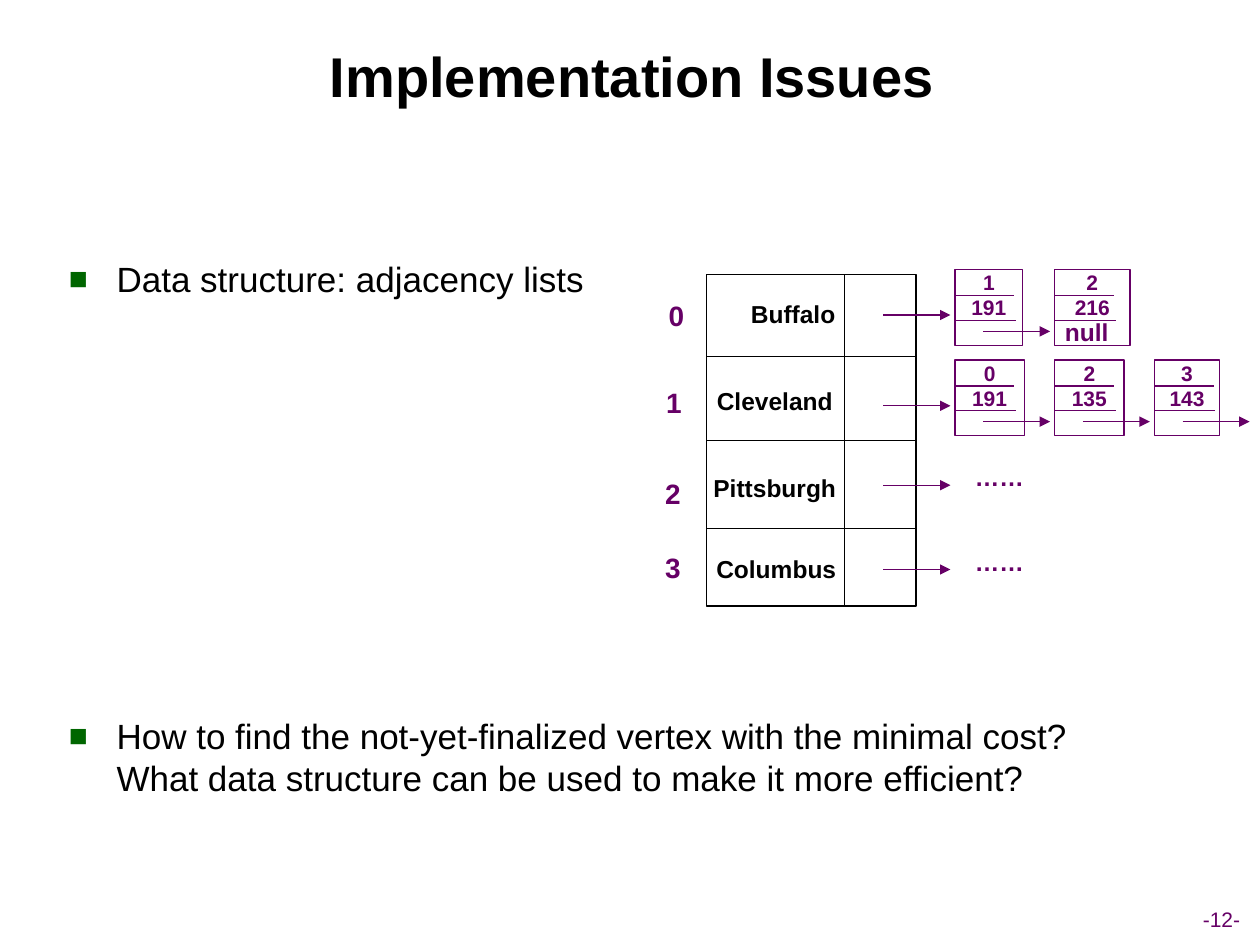
from lxml.etree import SubElement as Sub
from pptx import Presentation
from pptx.dml.color import RGBColor
from pptx.enum.shapes import MSO_CONNECTOR as Link, MSO_SHAPE as Shape
from pptx.enum.text import (MSO_ANCHOR as Anchor, MSO_AUTO_SIZE as Fit,
                            PP_ALIGN as Align)
from pptx.oxml.ns import qn
from pptx.util import Cm, Pt

BLACK = RGBColor(0x00, 0x00, 0x00)
PURPLE = RGBColor(0x66, 0x00, 0x66)
GREEN = RGBColor(0x00, 0x66, 0x00)

REACH = 1.35  # length of every arrow
STEP = 2.01   # distance from one list node to the next


def write(shape, *lines, size=14, color=PURPLE, bold=True, align=Align.CENTER,
          anchor=Anchor.TOP, wrap=False, pad=0.13):
    """Fill a shape with one paragraph per line."""
    frame = shape.text_frame
    frame.word_wrap = wrap
    frame.auto_size = Fit.NONE if wrap else Fit.SHAPE_TO_FIT_TEXT
    frame.vertical_anchor = anchor
    frame.margin_left = frame.margin_right = Cm(0.25)
    frame.margin_top = frame.margin_bottom = Cm(pad)
    frame.text = "\n".join(lines)
    for para in frame.paragraphs:
        para.alignment = align
        para.font.name = "Arial"
        para.font.size = Pt(size)
        para.font.bold = bold
        para.font.color.rgb = color
    return frame


def label(slide, x, y, w, h, *lines, **style):
    box = slide.shapes.add_textbox(Cm(x), Cm(y), Cm(w), Cm(h))
    return write(box, *lines, **style)


def frame_box(slide, x, y, w, h, color):
    box = slide.shapes.add_shape(Shape.RECTANGLE, Cm(x), Cm(y), Cm(w), Cm(h))
    box.shadow.inherit = False
    box.fill.background()
    box.line.color.rgb = color
    box.line.width = Pt(0.75)
    return box


def rule(slide, x, y, w, h=0, color=PURPLE, arrow=False):
    line = slide.shapes.add_connector(
        Link.STRAIGHT, Cm(x), Cm(y), Cm(x + w), Cm(y + h))
    line.line.color.rgb = color
    line.line.width = Pt(0.75)
    if arrow:
        Sub(line.line._get_or_add_ln(), qn("a:tailEnd"), type="triangle")
    Sub(line._element.spPr, qn("a:effectLst"))
    return line


def bullet(para):
    props = para._p.get_or_add_pPr()
    props.set("marL", str(Cm(0.96)))
    props.set("indent", str(-Cm(0.96)))
    tint = Sub(props, qn("a:buClr"))
    Sub(tint, qn("a:srgbClr"), val=str(GREEN))
    Sub(props, qn("a:buSzPct"), val="90000")
    Sub(props, qn("a:buFont"), typeface="Arial")
    Sub(props, qn("a:buChar"), char="■")


def points(slide, x, y, w, h):
    """Two bullets with the drawing's room between them."""
    body = label(slide, x, y, w, h, "Data structure: adjacency lists",
                 "How to find the not-yet-finalized vertex with the minimal cost? "
                 "What data structure can be used to make it more efficient?",
                 size=20, color=BLACK, bold=False, align=Align.LEFT, wrap=True)
    for para in body.paragraphs:
        bullet(para)
    body.paragraphs[1].space_before = Pt(237)


def cities(slide, x, y, w, h):
    """Array of vertices, each with an arrow to its list."""
    # name, name centre, name top, index left, index top, arrow top
    rows = [("Buffalo", 1.74, 0.36, -1.02, 0.34, 0.81),
            ("Cleveland", 1.37, 2.11, -1.07, 2.11, 2.64),
            ("Pittsburgh", 1.37, 3.87, -1.09, 3.94, 4.24),
            ("Columbus", 1.4, 5.49, -1.09, 5.42, 5.94)]
    wide = 3.4
    outer = frame_box(slide, x, y, w, h, BLACK)
    rule(slide, x + 2.77, y, 0, h, color=BLACK)
    cuts = [rule(slide, x, y + 1.65 + 1.73 * i, w, color=BLACK)
            for i in range(3)]
    cuts[1].begin_connect(outer, 1)
    cuts[1].end_connect(outer, 3)
    for i, (name, mid, top, left, low, aim) in enumerate(rows):
        label(slide, x + mid - wide / 2, y + top, wide, 0.84, name, color=BLACK)
        label(slide, x + left, y + low, 0.81, 0.94, str(i), size=16)
        rule(slide, x + 3.56, y + aim, REACH, arrow=True)


def node(slide, x, y, w, key, cost, more=True):
    """List node: vertex, edge cost, and the link to the next node."""
    box = frame_box(slide, x, y, w, 1.52, PURPLE)
    write(box, key, cost, size=12, wrap=True, pad=0)
    rule(slide, x, y + 0.52, 1.2)
    rule(slide, x, y + 1.02, 1.23)
    if more:
        rule(slide, x + 0.57, y + 1.24, REACH, arrow=True)
    else:
        label(slide, x - 0.25, y + 0.83, 1.8, 0.86, "null")


def chain(slide, x, y, nodes):
    for i, (w, *data) in enumerate(nodes):
        node(slide, x + STEP * i, y, w, *data)


def main():
    deck = Presentation()
    deck.slide_width, deck.slide_height = Cm(25.4), Cm(19.05)
    slide = deck.slides.add_slide(deck.slide_layouts[6])

    # Title and page number
    label(slide, 0.97, 0.31, 23.55, 2.41, "Implementation Issues",
          size=32, color=BLACK, anchor=Anchor.MIDDLE, wrap=True)
    label(slide, 23.9, 18.14, 1.45, 0.76, "-12-",
          size=12, bold=False, anchor=Anchor.MIDDLE)

    points(slide, 1.14, 5.06, 21.29, 12.36)

    # Adjacency lists
    cities(slide, 14.25, 5.54, 4.22, 6.68)
    chain(slide, 19.25, 5.44, [(1.37, "1", "191"),
                               (1.52, "2", "216", False)])
    chain(slide, 19.25, 7.26, [(1.4, "0", "191"), (1.4, "2", "135"),
                               (1.32, "3", "143")])
    for y in (9.19, 10.9):
        label(slide, 19.4, y, 1.5, 0.86, "……")

    deck.save("out.pptx")


if __name__ == "__main__":
    main()
